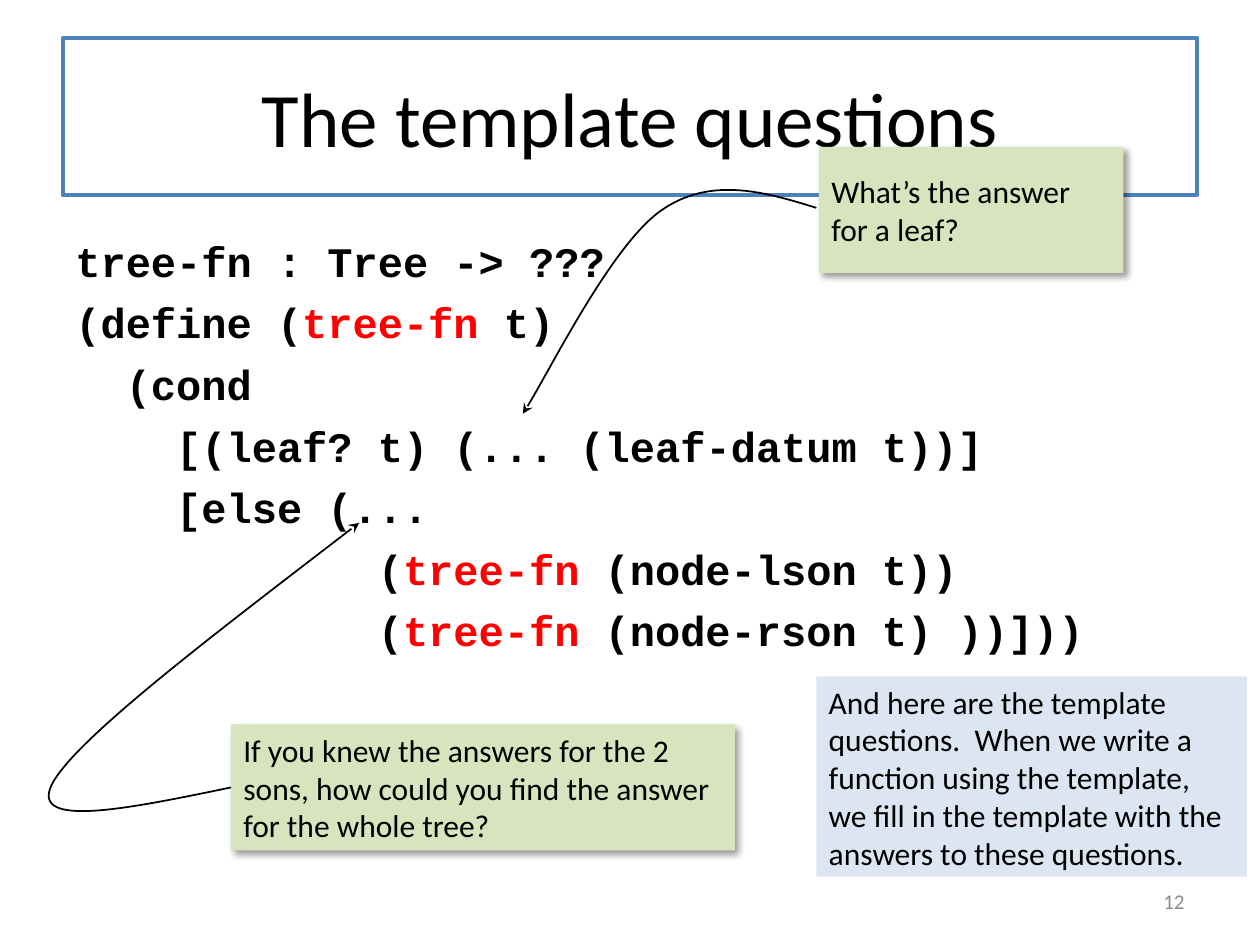
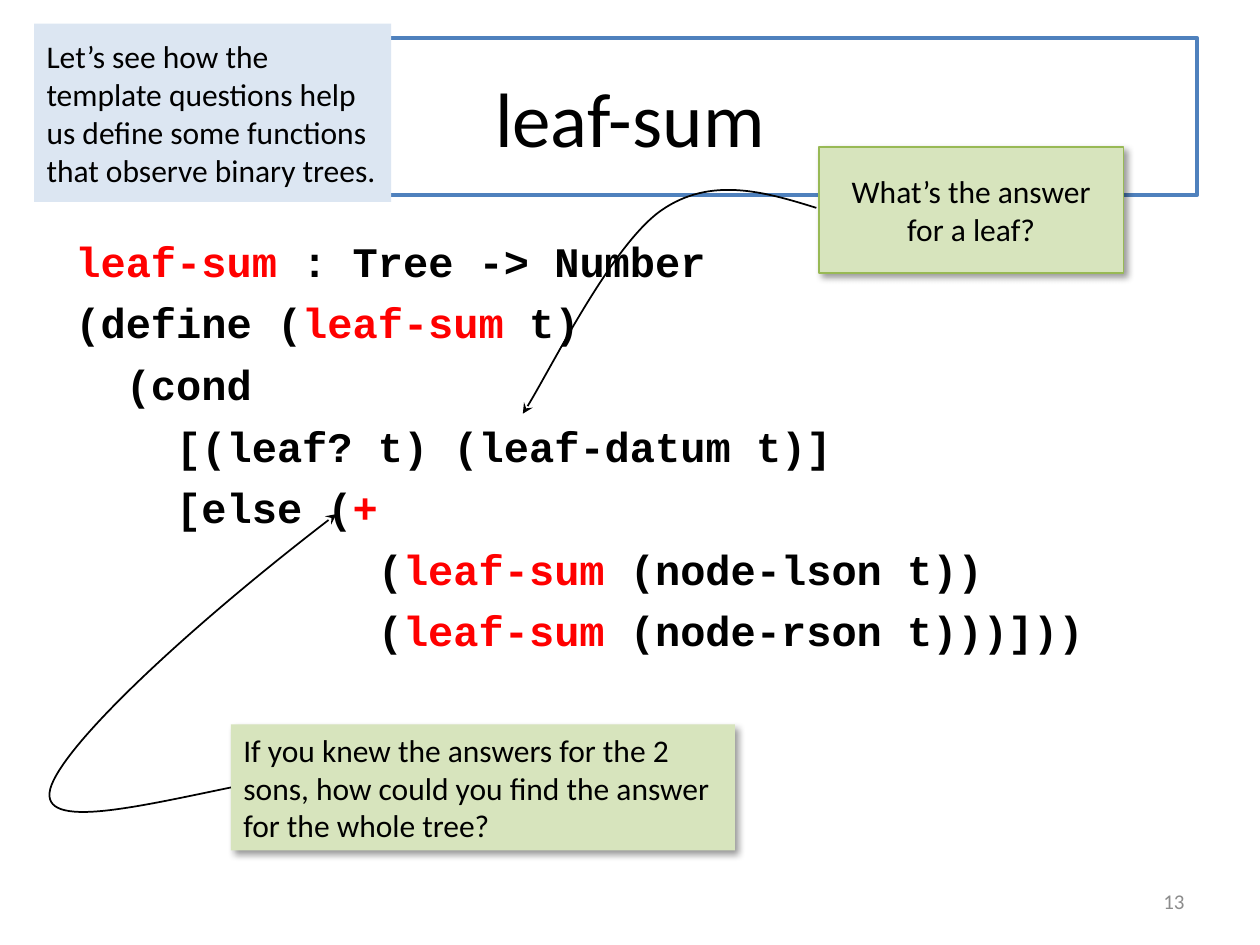
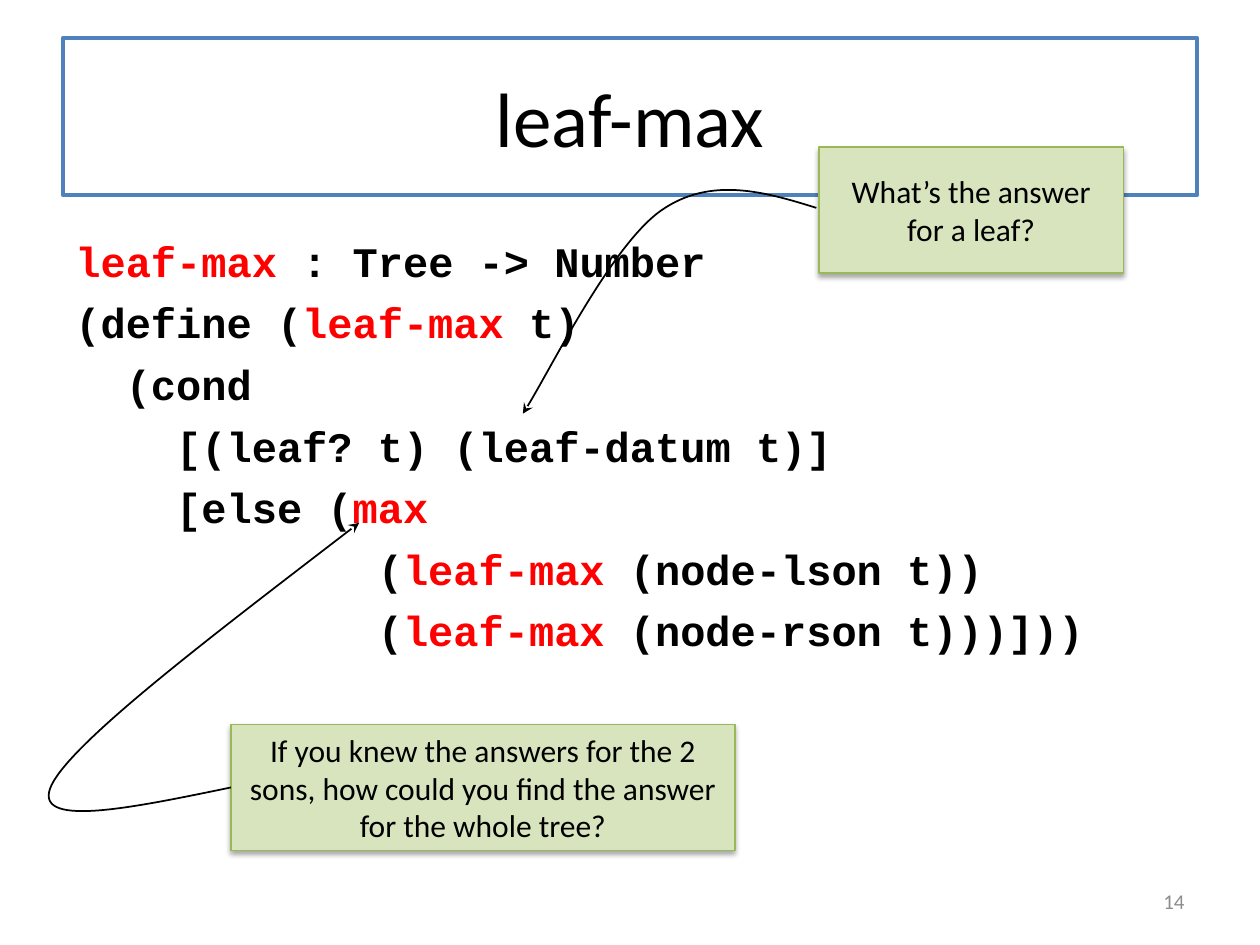
"""Build three slides on the template questions for functions over binary trees."""

from lxml.etree import SubElement
from pptx import Presentation
from pptx.dml.color import RGBColor
from pptx.enum.shapes import MSO_SHAPE as Preset
from pptx.enum.text import MSO_ANCHOR as Anchor, PP_ALIGN as Align
from pptx.oxml.ns import qn
from pptx.util import Pt

COLORS = {
    "text": "000000",
    "title_fill": "FFFFFF",
    "title_line": "4F81BD",
    "highlight": "FF0000",
    "callout": "D7E4BD",
    "callout_line": "98B955",
    "note": "DCE6F2",
    "number": "8C8C8C",
    "shadow": "000000",
}
BODY_FONT, CODE_FONT = "Calibri", "Courier New"

DIAGONAL_SHADOW = {"alpha": 40, "blur": 4, "distance": 3, "angle": 45}
DOWN_SHADOW = {"alpha": 35, "blur": 3.1, "distance": 1.8, "angle": 90}
LEFT_PLAIN = {"align": Align.LEFT, "shadow": DIAGONAL_SHADOW}
CENTERED_OUTLINED = {"align": Align.CENTER, "line": "callout_line", "shadow": DIAGONAL_SHADOW}
CENTERED_DOWN = {**CENTERED_OUTLINED, "shadow": DOWN_SHADOW}

LEAF_BOX = (468, 84, 174, 72)
SONS_BOX = (132, 414, 288, 72)
LEAF_QUESTION = "What’s the answer for a leaf?"
SONS_QUESTION = (
    "If you knew the answers for the 2 sons, how could you find the answer for the whole tree?"
)
LEAF_CURVE = [(466.5, 118.8), (436.3, 109.4), (406, 100.8), (378, 120.2),
              (350, 139.7), (311, 218.2), (298.8, 236.4)]
SONS_CURVE = [(132, 450), (74, 462), (17.3, 473.8), (29.5, 448.6),
              (41.8, 423.4), (123.8, 361.4), (205.2, 298.8)]
SHORT_SONS_CURVE = [(132, 450), (74, 462), (19.4, 475), (29.5, 448.6),
                    (39.6, 422.6), (110.2, 356.4), (192.2, 293.8)]


class Deck:
    """Hold the shared style and the current slide."""

    def __init__(self):
        """Start an empty 10 by 7.5 inch presentation."""
        self.presentation = Presentation()
        self.presentation.slide_width = Pt(720)
        self.presentation.slide_height = Pt(540)
        self.slide = None

    def start_slide(self, title, number):
        """Add a slide with its title box and slide number."""
        self.slide = self.presentation.slides.add_slide(self.presentation.slide_layouts[6])
        self.box((36, 21.6, 648, 90), title, "title_fill", size=44,
                 align=Align.CENTER, line="title_line", line_width=2.25)
        self.box((516, 500.4, 168, 28.8), str(number), None, size=12,
                 color="number", align=Align.RIGHT)

    def style_font(self, font, size, color, name=BODY_FONT, bold=False):
        """Set the typeface, size and colour of a font."""
        font.name, font.size, font.bold = name, Pt(size), bold
        font.color.rgb = RGBColor.from_string(COLORS[color])

    def box(self, place, text, fill, size=18, color="text", align=Align.LEFT,
            anchor=Anchor.MIDDLE, line=None, line_width=0.75, shadow=None):
        """Add a rectangle with text, or a plain text box when there is no fill."""
        frame = [Pt(length) for length in place]
        if fill:
            shape = self.slide.shapes.add_shape(Preset.RECTANGLE, *frame)
            shape.fill.solid()
            shape.fill.fore_color.rgb = RGBColor.from_string(COLORS[fill])
            shape.shadow.inherit = False
            if line:
                shape.line.color.rgb = RGBColor.from_string(COLORS[line])
                shape.line.width = Pt(line_width)
            else:
                shape.line.fill.background()
        else:
            shape = self.slide.shapes.add_textbox(*frame)
        if shadow:
            self.drop_shadow(shape, **shadow)
        text_frame = shape.text_frame
        text_frame.word_wrap = True
        text_frame.vertical_anchor = anchor
        text_frame.text = text
        paragraph = text_frame.paragraphs[0]
        paragraph.alignment = align
        self.style_font(paragraph.runs[0].font, size, color)

    def drop_shadow(self, shape, alpha, blur, distance, angle):
        """Give a shape an outer shadow."""
        effects = shape._element.spPr.find(qn("a:effectLst"))
        outer = SubElement(effects, qn("a:outerShdw"), blurRad=str(Pt(blur)),
                           dist=str(Pt(distance)), dir=str(angle * 60000),
                           algn="tl", rotWithShape="0")
        color = SubElement(outer, qn("a:srgbClr"), val=COLORS["shadow"])
        SubElement(color, qn("a:alpha"), val=str(alpha * 1000))

    def code(self, lines):
        """Add the code, highlighting each part between bars."""
        shape = self.slide.shapes.add_textbox(Pt(36), Pt(126), Pt(648), Pt(356.4))
        text_frame = shape.text_frame
        text_frame.word_wrap = True
        text_frame.margin_top = Pt(8.4)
        for index, line in enumerate(lines):
            paragraph = text_frame.add_paragraph() if index else text_frame.paragraphs[0]
            properties = paragraph._p.get_or_add_pPr()
            properties.set("marL", str(Pt(27)))
            properties.set("indent", str(Pt(-27)))
            paragraph.space_before = Pt(6.4 if index else 0)
            for position, part in enumerate(line.split("|")):
                if part:
                    run = paragraph.add_run()
                    run.text = part
                    color = "highlight" if position % 2 else "text"
                    self.style_font(run.font, 24, color, CODE_FONT, bold=True)

    def curve(self, points):
        """Draw a Bezier arrow through a start point and triples of control points."""
        start, *controls = [(Pt(x), Pt(y)) for x, y in points]
        builder = self.slide.shapes.build_freeform(*start)
        builder.add_line_segments(controls, close=False)
        shape = builder.convert_to_shape()
        shape.fill.background()
        shape.shadow.inherit = False
        shape.line.color.rgb = RGBColor.from_string(COLORS["text"])
        shape.line.width = Pt(1)
        SubElement(shape.line._get_or_add_ln(), qn("a:tailEnd"), type="stealth")
        outline = next(shape._element.iter(qn("a:path")))
        segments = outline.findall(qn("a:lnTo"))
        for first in range(0, len(segments), 3):
            bezier = SubElement(outline, qn("a:cubicBezTo"))
            for segment in segments[first:first + 3]:
                bezier.append(segment[0])
                outline.remove(segment)

    def questions(self, leaf_style, sons_style, sons_curve=SONS_CURVE):
        """Add the two template questions with their arrows."""
        self.curve(LEAF_CURVE)
        self.box(LEAF_BOX, LEAF_QUESTION, "callout", **leaf_style)
        self.box(SONS_BOX, SONS_QUESTION, "callout", **sons_style)
        self.curve(sons_curve)

    def note(self, place, text, anchor=Anchor.MIDDLE):
        """Add a commentary box."""
        self.box(place, text, "note", anchor=anchor)


def tree_code(name, signature, leaf, combiner, closing=")))]))"):
    """Return the code lines of a function that follows the tree template."""
    return [
        signature,
        f"(define (|{name}| t)",
        "  (cond",
        f"    [(leaf? t) {leaf}]",
        f"    [else ({combiner}",
        f"            (|{name}| (node-lson t))",
        f"            (|{name}| (node-rson t{closing}",
    ]


def main():
    """Build the slides and save them."""
    deck = Deck()

    deck.start_slide("The template questions", 12)
    deck.code(tree_code("tree-fn", "tree-fn : Tree -> ???", "(... (leaf-datum t))",
                        "...", ") ))]))"))
    deck.questions(LEFT_PLAIN, LEFT_PLAIN)
    deck.note((466.5, 386.5, 246, 114.5),
              "And here are the template questions.  When we write a function using the "
              "template, we fill in the template with the answers to these questions.",
              Anchor.TOP)

    deck.start_slide("leaf-sum", 13)
    deck.code(tree_code("leaf-sum", "|leaf-sum| : Tree -> Number", "(leaf-datum t)", "|+|"))
    deck.questions(CENTERED_OUTLINED, LEFT_PLAIN, SHORT_SONS_CURVE)
    deck.note((19.5, 13.5, 204, 102),
              "Let’s see how the template questions help us define some functions "
              "that observe binary trees.")

    deck.start_slide("leaf-max", 14)
    deck.code(tree_code("leaf-max", "|leaf-max| : Tree -> Number", "(leaf-datum t)", "|max|"))
    deck.questions(CENTERED_DOWN, CENTERED_DOWN)

    deck.presentation.save("out.pptx")


if __name__ == "__main__":
    main()
